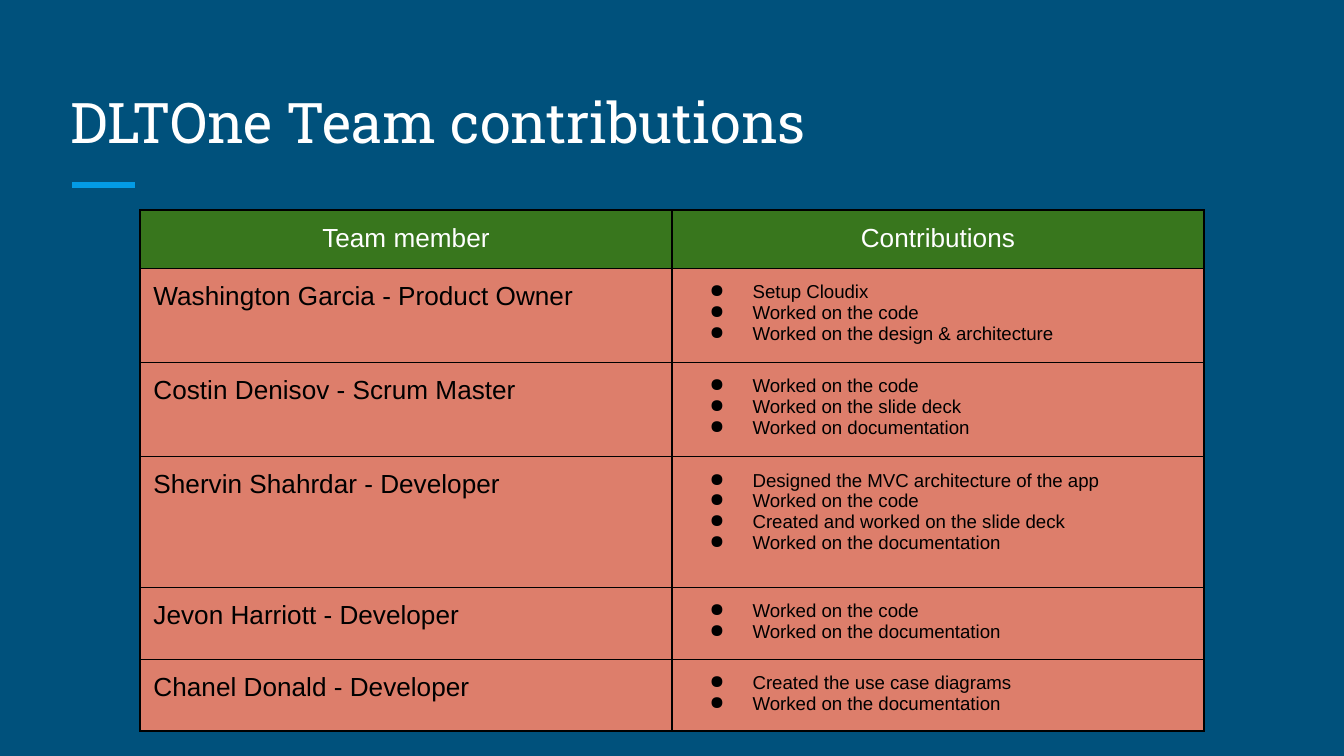
from dataclasses import dataclass

from lxml import etree
from pptx import Presentation
from pptx.dml.color import RGBColor
from pptx.enum.shapes import MSO_CONNECTOR
from pptx.enum.text import MSO_ANCHOR, PP_ALIGN
from pptx.oxml.ns import qn
from pptx.util import Pt

STRAIGHT = MSO_CONNECTOR.STRAIGHT
BOTTOM = MSO_ANCHOR.BOTTOM
LEFT, CENTER = PP_ALIGN.LEFT, PP_ALIGN.CENTER
BLANK_LAYOUT = 6
INSET = Pt(7.2)


@dataclass(frozen=True)
class Theme:
    """Colours, fonts and type sizes of the slide."""
    background: str = "00517C"
    accent: str = "039BE5"
    header: str = "38761D"
    body: str = "DD7E6B"
    light: str = "FFFFFF"
    dark: str = "000000"
    title_font: str = "Roboto Slab"
    body_font: str = "Arial"
    title_size: float = 30
    member_size: float = 14
    bullet_size: float = 10


THEME = Theme()
HEADINGS = ("Team member", "Contributions")
HEADER_HEIGHT = 30.2
MEMBERS = [
    ("Washington Garcia - Product Owner", 48,
     ["Setup Cloudix", "Worked on the code", "Worked on the design & architecture"]),
    ("Costin Denisov - Scrum Master", 48,
     ["Worked on the code", "Worked on the slide deck", "Worked on documentation"]),
    ("Shervin Shahrdar - Developer", 70,
     ["Designed the MVC architecture of the app", "Worked on the code",
      "Created and worked on the slide deck", "Worked on the documentation"]),
    ("Jevon Harriott - Developer", 36.7,
     ["Worked on the code", "Worked on the documentation"]),
    ("Chanel Donald - Developer", 36.7,
     ["Created the use case diagrams", "Worked on the documentation"]),
]


def format_paragraph(paragraph, font, size, color, align=LEFT):
    """Apply alignment and font to a paragraph and its runs."""
    paragraph.alignment = align
    for run in paragraph.runs:
        run.font.name = font
        run.font.size = Pt(size)
        run.font.color.rgb = RGBColor.from_string(color)


def set_insets(target):
    """Give a cell or text frame the same margin on every side."""
    target.margin_left = target.margin_right = INSET
    target.margin_top = target.margin_bottom = INSET


def add_title(slide, text):
    """Add the slide title, standing on the bottom of its box."""
    text_frame = slide.shapes.add_textbox(Pt(30.5), Pt(36), Pt(659), Pt(54)).text_frame
    text_frame.word_wrap = True
    text_frame.vertical_anchor = BOTTOM
    set_insets(text_frame)
    text_frame.text = text
    format_paragraph(text_frame.paragraphs[0], THEME.title_font, THEME.title_size, THEME.light)


def add_accent_line(slide):
    """Add the short line under the title."""
    line = slide.shapes.add_connector(STRAIGHT, Pt(38.7), Pt(99), Pt(72.3), Pt(99))
    line.line.color.rgb = RGBColor.from_string(THEME.accent)
    line.line.width = Pt(3)
    etree.SubElement(line._element.spPr, qn("a:effectLst"))


def set_borders(cell):
    """Draw a thin dark line on all four sides of a cell."""
    properties = cell._tc.get_or_add_tcPr()
    for index, side in enumerate(("lnL", "lnR", "lnT", "lnB")):
        border = etree.Element(qn(f"a:{side}"), w=str(Pt(0.75)))
        fill = etree.SubElement(border, qn("a:solidFill"))
        etree.SubElement(fill, qn("a:srgbClr"), val=THEME.dark)
        properties.insert(index, border)


def set_bullet(paragraph):
    """Give a paragraph a round bullet and a hanging indent."""
    properties = paragraph._p.get_or_add_pPr()
    properties.set("marL", str(Pt(36)))
    properties.set("indent", str(Pt(-23)))
    etree.SubElement(properties, qn("a:buChar"), char="●")


def fill_cell(cell, lines, fill, size, color, align=LEFT, bulleted=False):
    """Write lines into a cell and style it."""
    set_insets(cell)
    cell.fill.solid()
    cell.fill.fore_color.rgb = RGBColor.from_string(fill)
    set_borders(cell)
    cell.text_frame.text = "\n".join(lines)
    for paragraph in cell.text_frame.paragraphs:
        format_paragraph(paragraph, THEME.body_font, size, color, align)
        if bulleted:
            set_bullet(paragraph)


def add_contributions_table(slide):
    """Add the table of members and what each contributed."""
    heights = [HEADER_HEIGHT] + [height for _, height, _ in MEMBERS]
    table = slide.shapes.add_table(
        len(heights), len(HEADINGS), Pt(75), Pt(112.5), Pt(570), Pt(sum(heights))).table
    table.first_row = table.horz_banding = False
    for row, height in zip(table.rows, heights):
        row.height = Pt(height)
    for column, heading in enumerate(HEADINGS):
        fill_cell(table.cell(0, column), [heading], THEME.header,
                  THEME.member_size, THEME.light, CENTER)
    for row, (member, _, contributions) in enumerate(MEMBERS, start=1):
        fill_cell(table.cell(row, 0), [member], THEME.body, THEME.member_size, THEME.dark)
        fill_cell(table.cell(row, 1), contributions, THEME.body,
                  THEME.bullet_size, THEME.dark, bulleted=True)


def main():
    """Build the slide and save it."""
    presentation = Presentation()
    presentation.slide_width, presentation.slide_height = Pt(720), Pt(405)
    slide = presentation.slides.add_slide(presentation.slide_layouts[BLANK_LAYOUT])
    slide.background.fill.solid()
    slide.background.fill.fore_color.rgb = RGBColor.from_string(THEME.background)
    add_accent_line(slide)
    add_title(slide, "DLTOne Team contributions")
    add_contributions_table(slide)
    presentation.save("out.pptx")


if __name__ == "__main__":
    main()
